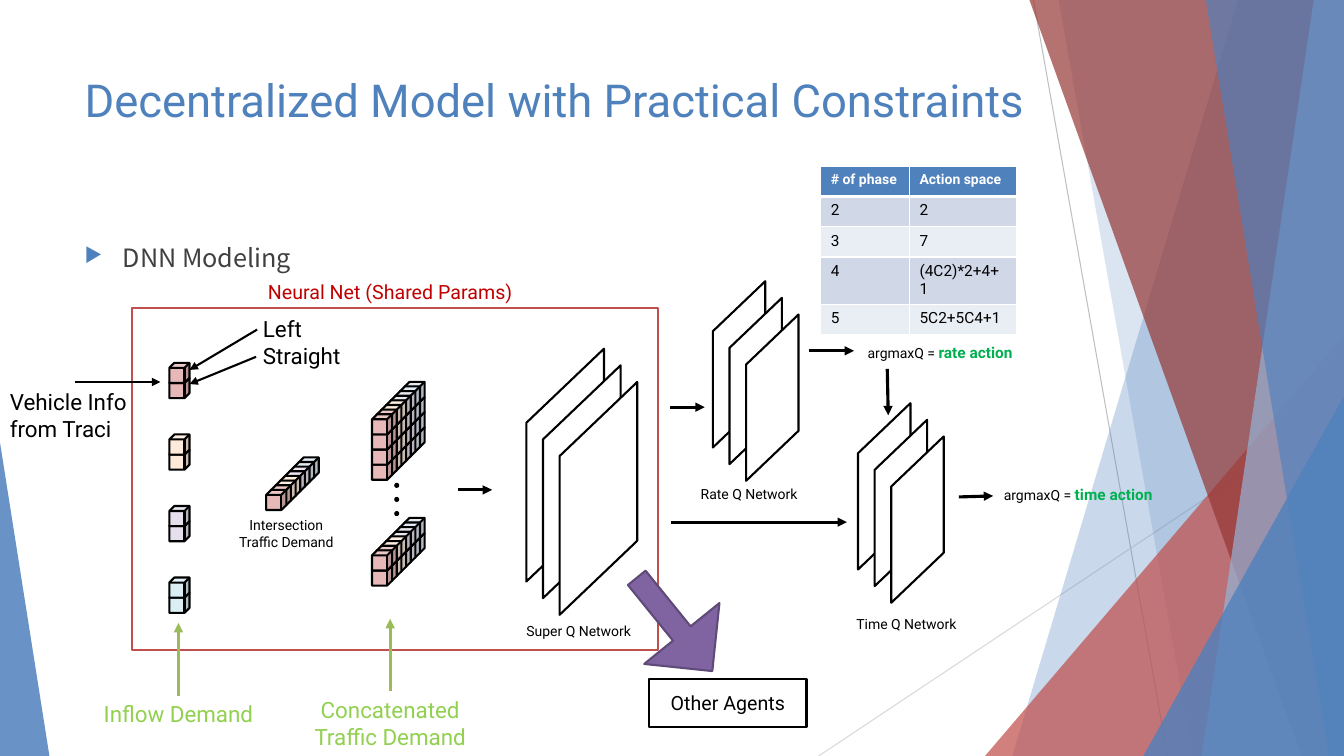
from dataclasses import dataclass

from lxml import etree
from pptx import Presentation
from pptx.dml.color import RGBColor
from pptx.enum.shapes import MSO_CONNECTOR, MSO_SHAPE
from pptx.enum.text import MSO_ANCHOR, PP_ALIGN
from pptx.oxml.ns import qn
from pptx.util import Inches, Pt

LEFT, CENTER, MIDDLE = PP_ALIGN.LEFT, PP_ALIGN.CENTER, MSO_ANCHOR.MIDDLE
STRAIGHT = MSO_CONNECTOR.STRAIGHT
RECTANGLE, OVAL, CUBE = MSO_SHAPE.RECTANGLE, MSO_SHAPE.OVAL, MSO_SHAPE.CUBE
TRIANGLE, DOWN_ARROW = MSO_SHAPE.ISOSCELES_TRIANGLE, MSO_SHAPE.DOWN_ARROW
PARALLELOGRAM = MSO_SHAPE.PARALLELOGRAM


class Theme:
    font, body_font = "Roboto", "Noto Sans CJK KR"
    title, body, large, medium, cell, small = 32.4, 18, 16, 14, 11, 10
    thin, normal, thick = 0.75, 1.5, 2.25
    black, white, gray = "000000", "FFFFFF", "404040"
    line_dark, line_light = "BFBFBF", "D9D9D9"
    blue, light_blue, red, dark_red = "4F81BD", "95B3D7", "C0504D", "953735"
    heading_red, green, lime, olive = "C00000", "00B050", "92D050", "9BBB59"
    purple, purple_line = "8064A2", "5F4A78"
    rose, peach, lilac, aqua, ice = "E6B9B8", "FDEADA", "E6E0EC", "DBEEF4", "DCE6F2"
    bands = "D0D8E8", "E9EDF4"


def rgb(color):
    return RGBColor.from_string(color)


def paint(shape, fill=None, line=None, alpha=None):
    shape.shadow.inherit = False
    if fill:
        shape.fill.solid()
        shape.fill.fore_color.rgb = rgb(fill)
    else:
        shape.fill.background()
    if alpha:
        color = shape._element.spPr.find(".//" + qn("a:srgbClr"))
        etree.SubElement(color, qn("a:alpha"), val=str(alpha * 1000))
    if line:
        shape.line.color.rgb = rgb(line)
        shape.line.width = Pt(Theme.normal)
    else:
        shape.line.fill.background()


def style(font, size, color, bold=False, name=Theme.font):
    font.name, font.size, font.bold = name, Pt(size), bold
    font.color.rgb = rgb(color)


@dataclass
class Region:
    """A box on the slide; parts are placed in inches from its top left corner."""
    slide: object
    left: float
    top: float
    width: float
    height: float

    def point(self, x, y):
        return Inches(self.left + x), Inches(self.top + y)

    def frame(self, x, y, width, height):
        return (*self.point(x, y), Inches(width), Inches(height))

    def shape(self, kind, x, y, width, height, fill=None, line=None, alpha=None, adjust=()):
        shape = self.slide.shapes.add_shape(kind, *self.frame(x, y, width, height))
        for index, value in enumerate(adjust):
            shape.adjustments[index] = value
        paint(shape, fill, line, alpha)
        return shape

    def polygon(self, points, fill, alpha):
        start, *others = [self.point(*corner) for corner in points]
        builder = self.slide.shapes.build_freeform(*start)
        builder.add_line_segments(others, close=True)
        paint(builder.convert_to_shape(), fill, alpha=alpha)

    def line(self, start, end, width=Theme.thick, color=Theme.black, arrow=True):
        connector = self.slide.shapes.add_connector(STRAIGHT, *self.point(*start), *self.point(*end))
        connector.line.color.rgb, connector.line.width = rgb(color), Pt(width)
        if arrow:
            etree.SubElement(connector.line._get_or_add_ln(), qn("a:tailEnd"), type="triangle")
        etree.SubElement(connector._element.spPr, qn("a:effectLst"))

    def text(self, text, x, y, width, height, size=Theme.small, color=Theme.black,
             align=CENTER, name=Theme.font):
        text_frame = self.slide.shapes.add_textbox(*self.frame(x, y, width, height)).text_frame
        text_frame.word_wrap = True
        text_frame.text = text
        for paragraph in text_frame.paragraphs:
            paragraph.alignment = align
            style(paragraph.font, size, color, name=name)
        return text_frame.paragraphs[0]

    def cubes(self, x, y, rows, colors):
        """Stack cubes from the bottom row up, each row from back to front."""
        for row in reversed(range(rows)):
            for depth, color in reversed(list(enumerate(colors))):
                shift = depth * 0.046
                self.shape(CUBE, x + shift, y + row * 0.15 - shift, 0.2, 0.2, color, Theme.black)

    def sheets(self, x, y, width, height):
        """Three slanted network layers, given by the upright size of one."""
        inset = (height - width) / 2
        for shift in (0, 0.165, 0.33):
            sheet = self.shape(PARALLELOGRAM, x + shift - inset, y + shift + inset, height, width,
                               Theme.white, Theme.black, adjust=[0.954])
            sheet.rotation = 270
            sheet._element.spPr.find(qn("a:xfrm")).set("flipV", "1")


def draw_backdrop(region):
    right, bottom = region.width, region.height
    region.line((10.25, 0), (11.58, bottom), Theme.thin, Theme.line_dark, arrow=False)
    region.line((right, 4.03), (8.12, bottom), Theme.thin, Theme.line_light, arrow=False)

    def facet(top_x, bottom_x, fill, alpha):
        region.polygon([(top_x, 0), (right, 0), (right, bottom), (bottom_x, bottom)], fill, alpha)

    def corner(x, y, width, fill, alpha, apex):
        region.shape(TRIANGLE, x, y, width, bottom - y, fill, alpha=alpha, adjust=[apex])

    facet(12.28, 10.04, Theme.blue, 30)
    facet(10.5, 11.83, Theme.blue, 20)
    corner(9.77, 3.33, 3.56, Theme.red, 72, 1)
    facet(10.21, 12.91, Theme.dark_red, 70)
    facet(13.03, 11.92, Theme.light_blue, 70)
    facet(11.96, 13.18, Theme.blue, 65)
    corner(11.34, 3.93, 1.99, Theme.blue, 80, 1)
    corner(0, 4.39, 0.49, Theme.blue, 85, 0)


def draw_heading(region):
    region.text("Decentralized Model with Practical Constraints", 0, 0, region.width, 0.8,
                Theme.title, Theme.blue, LEFT)
    bullet = region.text("DNN Modeling", 0, 1.69, region.width, 0.5, Theme.body, Theme.gray,
                         LEFT, Theme.body_font)
    properties = bullet._p.get_or_add_pPr()
    properties.set("marL", str(Inches(0.38)))
    properties.set("indent", str(-Inches(0.38)))
    color = etree.SubElement(properties, qn("a:buClr"))
    etree.SubElement(color, qn("a:srgbClr"), val=Theme.blue)
    etree.SubElement(properties, qn("a:buSzPct"), val="80000")
    etree.SubElement(properties, qn("a:buChar"), char="▶")


def draw_neural_net(region):
    # Inflow cubes, intersection row and concatenated blocks
    for index, color in enumerate([Theme.rose, Theme.peach, Theme.lilac, Theme.aqua]):
        region.cubes(0.37, 0.54 + index * 0.71, 2, [color])
    depth_colors = [color for color in (Theme.rose, Theme.peach, Theme.lilac, Theme.ice)
                    for _ in range(2)]
    for x, y, rows in [(1.33, 1.8, 1), (2.38, 2.4, 2), (2.38, 1.05, 4)]:
        region.cubes(x, y, rows, depth_colors)
    for index in range(3):
        region.shape(OVAL, 2.6, 1.73 + index * 0.14, 0.05, 0.05, Theme.black)
    # Shared network and its frame
    region.sheets(3.91, 0.4, 0.77, 2.31)
    region.shape(RECTANGLE, 0, 0, region.width, region.height, line=Theme.red)
    region.line((3.23, 1.8), (3.57, 1.8))
    region.text("Neural Net (Shared Params)", 0.92, -0.33, 3.28, 0.34, Theme.medium, Theme.heading_red)
    region.text("Intersection\vTraffic Demand", 0.8, 2.02, 1.46, 0.44)
    region.text("Super Q Network", 3.7, 3.07, 1.46, 0.27)
    # Input labels
    for start, end in [((-0.57, 0.73), (0.28, 0.73)), ((1.24, 0.21), (0.57, 0.61)),
                       ((1.23, 0.48), (0.57, 0.75))]:
        region.line(start, end, Theme.normal)
    region.text("Vehicle Info\vfrom Traci", -1.31, 0.74, 1.37, 0.64, Theme.large, align=LEFT)
    region.text("Left\vStraight", 1.2, 0.02, 1.27, 0.64, Theme.large, align=LEFT)
    # Demand labels below the frame
    for label, center, y in [("Inflow Demand", 0.46, 3.84),
                             ("Concatenated\nTraffic Demand", 2.56, 3.8)]:
        region.line((center, y), (center, y - 0.72), color=Theme.olive)
        region.text(label, center - 0.9, y, 1.8, 0.64, Theme.large, Theme.lime)


def draw_q_networks(region):
    for name, sheet, label, action in [
            ("Time", (1.98, 1.25), (1.73, 3.31), (3.28, 2.01)),
            ("Rate", (0.54, 0.04), (0.17, 2.02), (1.91, 0.6))]:
        region.sheets(*sheet, 0.52, 1.65)
        region.text(f"{name} Q Network", *label, 1.46, 0.27)
        paragraph = region.text("argmaxQ = ", *action, 1.77, 0.29)
        run = paragraph.add_run()
        run.text = f"{name.lower()} action"
        style(run.font, Theme.cell, Theme.green, bold=True)
    for start, end in [((0.13, 2.43), (1.87, 2.43)), ((0.12, 1.29), (0.46, 1.29)),
                       ((2.27, 0.91), (2.28, 1.37)), ((1.49, 0.73), (1.94, 0.73)),
                       ((2.98, 2.18), (3.32, 2.17))]:
        region.line(start, end)


def draw_action_table(region):
    rows = [("# of phase", "Action space"), ("2", "2"), ("3", "7"),
            ("4", "(4C2)*2+4+1"), ("5", "5C2+5C4+1")]
    table = region.slide.shapes.add_table(
        len(rows), 2, *region.frame(0, 0, region.width, region.height)).table
    for column, width in zip(table.columns, (0.88, 1.06)):
        column.width = Inches(width)
    for row, values in enumerate(rows):
        header = row == 0
        for column, value in enumerate(values):
            cell = table.cell(row, column)
            cell.text = value
            style(cell.text_frame.paragraphs[0].font, Theme.small if header else Theme.cell,
                  Theme.white if header else Theme.black, bold=header)
            for side in ("lnL", "lnR", "lnT", "lnB"):
                heavy = (header and side == "lnB") or (row == 1 and side == "lnT")
                border = etree.SubElement(cell._tc.get_or_add_tcPr(), qn("a:" + side),
                                          w=str(Pt(3 if heavy else 1)))
                fill = etree.SubElement(border, qn("a:solidFill"))
                etree.SubElement(fill, qn("a:srgbClr"), val=Theme.white)
            cell.fill.solid()
            cell.fill.fore_color.rgb = rgb(Theme.blue if header else Theme.bands[(row - 1) % 2])


def draw_other_agents(region):
    arrow = region.shape(DOWN_ARROW, 0, 0, 0.96, 1.19, Theme.purple, Theme.purple_line,
                         adjust=[0.234, 0.5])
    arrow.rotation = 321
    agents = region.shape(RECTANGLE, 0.23, 1.14, 1.56, 0.47, Theme.white, Theme.black)
    agents.text_frame.text = "Other Agents"
    agents.text_frame.vertical_anchor = MIDDLE
    paragraph = agents.text_frame.paragraphs[0]
    paragraph.alignment = CENTER
    style(paragraph.font, Theme.medium, Theme.black)


presentation = Presentation()
presentation.slide_width, presentation.slide_height = Inches(13.33), Inches(7.5)
slide = presentation.slides.add_slide(presentation.slide_layouts[6])
draw_backdrop(Region(slide, 0, 0, 13.33, 7.5))
draw_heading(Region(slide, 0.74, 0.67, 9.65, 2.2))
draw_neural_net(Region(slide, 1.31, 3.06, 5.22, 3.39))
draw_q_networks(Region(slide, 6.53, 2.75, 5.05, 3.6))
draw_action_table(Region(slide, 8.14, 1.65, 1.94, 1.5))
draw_other_agents(Region(slide, 6.21, 5.6, 1.79, 1.61))
presentation.save("out.pptx")
